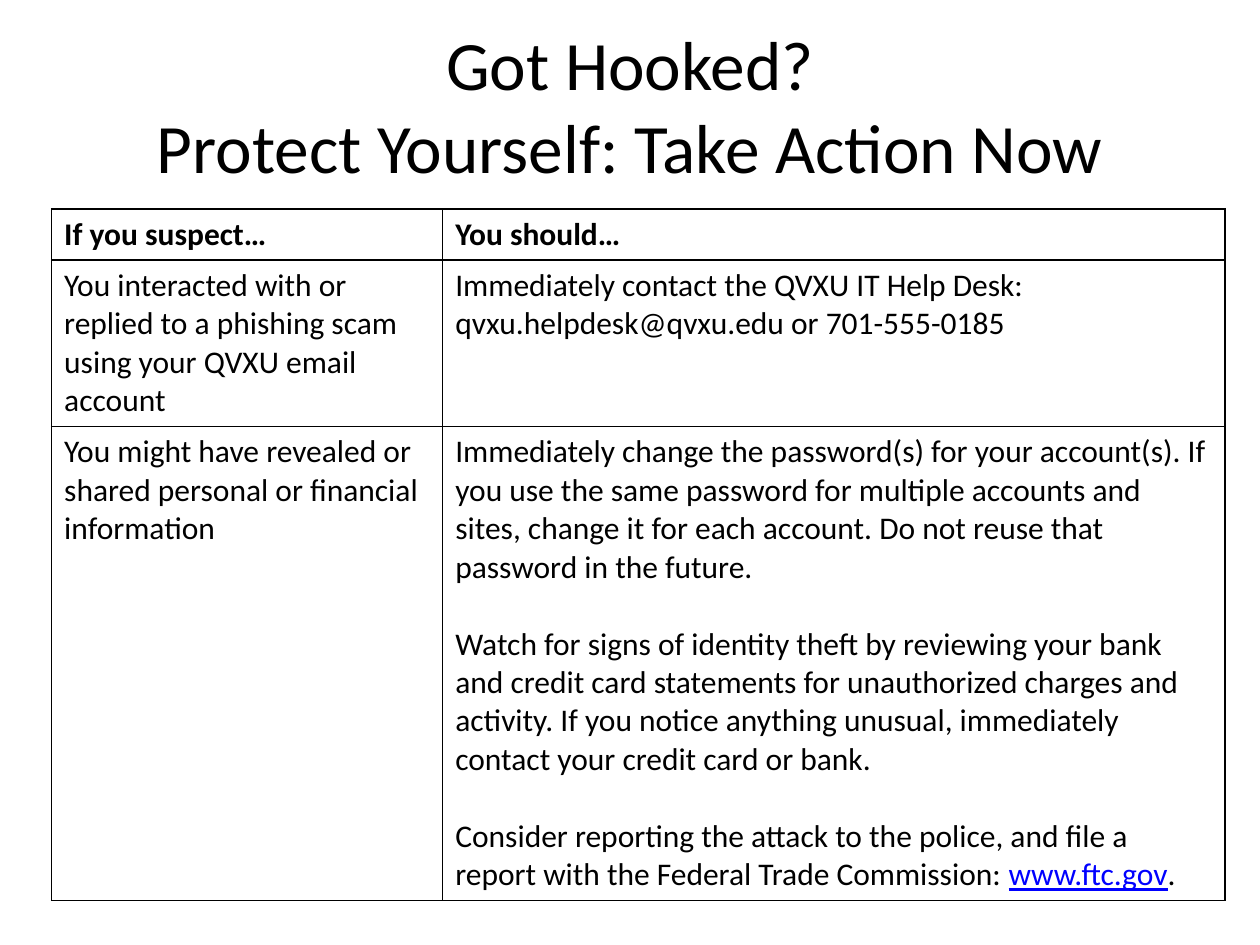
from lxml import etree
from pptx import Presentation
from pptx.dml.color import RGBColor
from pptx.enum import text
from pptx.oxml import ns
from pptx.util import Pt

BLACK = RGBColor(0x00, 0x00, 0x00)
WHITE = RGBColor(0xFF, 0xFF, 0xFF)
LINK = RGBColor(0x00, 0x00, 0xFF)
FONT = "Calibri"
LINE_GAP = 22  # one line of 18 pt text
FTC = "www.ftc.gov"

# Each cell is a list of paragraphs
ROWS = [
    [["If you suspect…"], ["You should…"]],
    [["You interacted with or replied to a phishing scam using your QVXU "
      "email account"],
     ["Immediately contact the QVXU IT Help Desk: qvxu.helpdesk@qvxu.edu "
      "or 701-555-0185"]],
    [["You might have revealed or shared personal or financial information"],
     ["Immediately change the password(s) for your account(s). If you use "
      "the same password for multiple accounts and sites, change it for each "
      "account. Do not reuse that password in the future.",
      "Watch for signs of identity theft by reviewing your bank and credit "
      "card statements for unauthorized charges and activity. If you notice "
      "anything unusual, immediately contact your credit card or bank.",
      "Consider reporting the attack to the police, and file a report with "
      f"the Federal Trade Commission: {FTC}."]],
]


def style(font, size, bold=False):
    font.name, font.size, font.bold = FONT, Pt(size), bold
    font.color.rgb = BLACK


def add_title(s, x, y, w, h):
    tf = s.shapes.add_textbox(Pt(x), Pt(y), Pt(w), Pt(h)).text_frame
    tf.word_wrap = True
    tf.vertical_anchor = text.MSO_ANCHOR.MIDDLE
    p = tf.paragraphs[0]
    p.text = "Got Hooked?\vProtect Yourself: Take Action Now"
    p.alignment = text.PP_ALIGN.CENTER
    style(p.font, 39.6)


def add_borders(cell):
    tcPr = cell._tc.get_or_add_tcPr()
    for i, side in enumerate("LRTB"):
        ln = etree.Element(ns.qn(f"a:ln{side}"), w=str(Pt(1)))
        fill = etree.SubElement(ln, ns.qn("a:solidFill"))
        etree.SubElement(fill, ns.qn("a:srgbClr"), val=str(BLACK))
        tcPr.insert(i, ln)


def fill_cell(cell, paragraphs, bold):
    cell.fill.solid()
    cell.fill.fore_color.rgb = WHITE
    add_borders(cell)
    tf = cell.text_frame
    for i, words in enumerate(paragraphs):
        p = tf.add_paragraph() if i else tf.paragraphs[0]
        p.space_before = Pt(LINE_GAP if i else 0)
        style(p.font, 18, bold)
        before, address, after = words.partition(FTC)
        for part in filter(None, (before, address, after)):
            r = p.add_run()
            r.text = part
            style(r.font, 18, bold)
            if part == FTC:
                r.font.color.rgb = LINK
                r.font.underline = True


def add_action_table(s, x, y, widths, heights):
    table = s.shapes.add_table(len(heights), len(widths), Pt(x), Pt(y),
                               Pt(sum(widths)), Pt(sum(heights))).table
    for column, w in zip(table.columns, widths):
        column.width = Pt(w)
    for i, h in enumerate(heights):
        table.rows[i].height = Pt(h)
        for j, paragraphs in enumerate(ROWS[i]):
            fill_cell(table.cell(i, j), paragraphs, bold=i == 0)


def main():
    prs = Presentation()
    prs.slide_width, prs.slide_height = Pt(720), Pt(540)
    s = prs.slides.add_slide(prs.slide_layouts[6])
    add_title(s, 36, 21.6, 648, 76.3)
    add_action_table(s, 29.5, 119.5, [223.5, 447], [29.2, 95, 270.8])
    prs.save("out.pptx")


if __name__ == "__main__":
    main()
